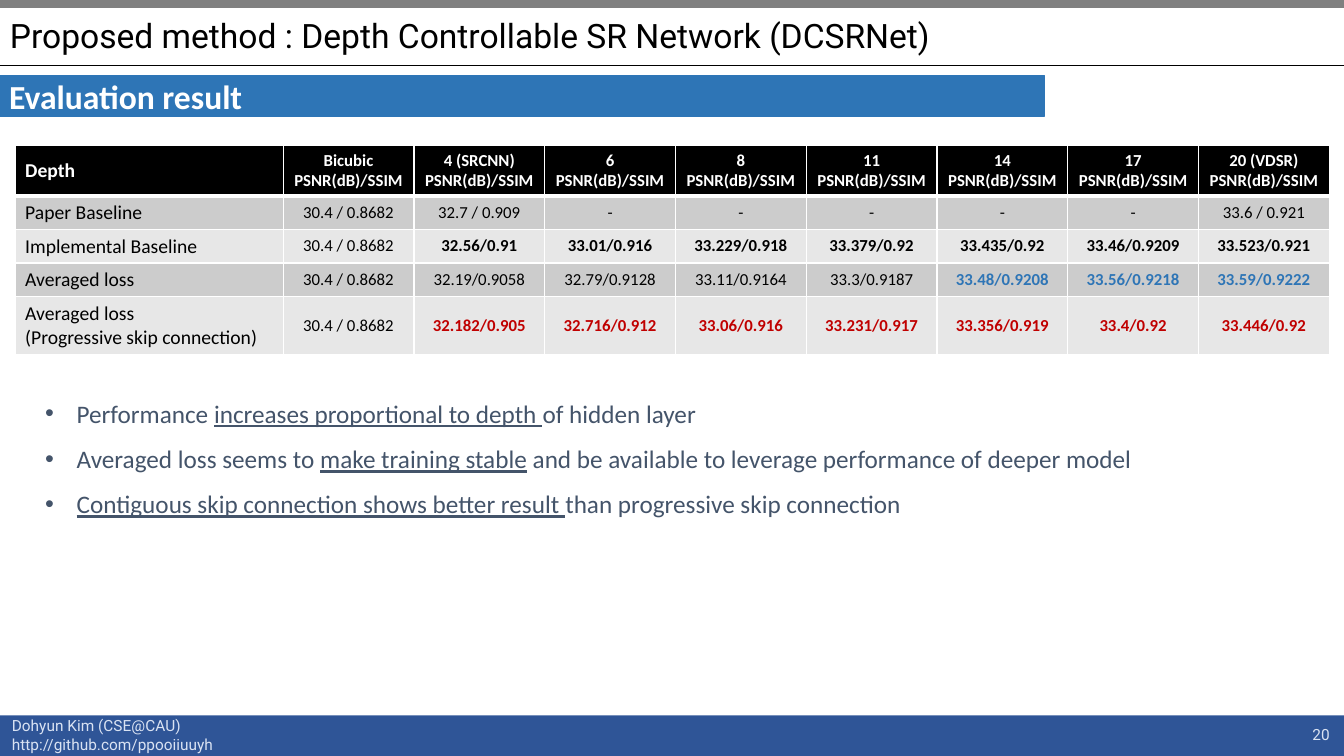
from dataclasses import dataclass

from lxml.etree import SubElement
from pptx import Presentation
from pptx.dml.color import RGBColor
from pptx.enum.shapes import MSO_CONNECTOR, MSO_SHAPE
from pptx.enum.text import MSO_ANCHOR, PP_ALIGN
from pptx.oxml import parse_xml
from pptx.oxml.ns import nsdecls, qn
from pptx.shapes.autoshape import Shape
from pptx.slide import Slide
from pptx.table import _Cell
from pptx.text.text import TextFrame, _Paragraph
from pptx.util import Pt

SLIDE_W, SLIDE_H = 960, 540
BLACK, WHITE, BLUE, RED = "000000", "FFFFFF", "2E75B6", "C00000"
LABEL_W, TABLE_W = 191.5, 938.9


@dataclass(frozen=True)
class Box:
    left: float
    top: float
    width: float
    height: float

    def lengths(self) -> tuple[Pt, Pt, Pt, Pt]:
        return Pt(self.left), Pt(self.top), Pt(self.width), Pt(self.height)


@dataclass(frozen=True)
class Style:
    size: float
    color: str
    font: str = "Calibri"
    bold: bool = False
    align: PP_ALIGN = PP_ALIGN.LEFT


@dataclass(frozen=True)
class ResultRow:
    label: str
    scores: list[str]
    height: float = 24
    plain_count: int = 8  # scores before the emphasised ones
    emphasis: str = BLACK


@dataclass(frozen=True)
class Finding:
    before: str
    underlined: str
    after: str


DEPTHS = ["Bicubic", "4 (SRCNN)", "6", "8", "11", "14", "17", "20 (VDSR)"]
BICUBIC = "30.4 / 0.8682"
RESULTS = [
    ResultRow("Paper Baseline", [BICUBIC, "32.7 / 0.909", *["-"] * 5, "33.6 / 0.921"]),
    ResultRow("Implemental Baseline",
              [BICUBIC, "32.56/0.91", "33.01/0.916", "33.229/0.918", "33.379/0.92",
               "33.435/0.92", "33.46/0.9209", "33.523/0.921"], plain_count=1),
    ResultRow("Averaged loss",
              [BICUBIC, "32.19/0.9058", "32.79/0.9128", "33.11/0.9164", "33.3/0.9187",
               "33.48/0.9208", "33.56/0.9218", "33.59/0.9222"], plain_count=5, emphasis=BLUE),
    ResultRow("Averaged loss\n(Progressive skip connection)",
              [BICUBIC, "32.182/0.905", "32.716/0.912", "33.06/0.916", "33.231/0.917",
               "33.356/0.919", "33.4/0.92", "33.446/0.92"],
              height=41, plain_count=1, emphasis=RED),
]
FINDINGS = [
    Finding("Performance ", "increases proportional to depth ", "of hidden layer"),
    Finding("Averaged loss seems to ", "make training stable",
            " and be available to leverage performance of deeper model"),
    Finding("", "Contiguous skip connection shows better result ",
            "than progressive skip connection"),
]


def rgb(color: str) -> RGBColor:
    return RGBColor.from_string(color)


def apply_style(paragraph: _Paragraph, style: Style) -> None:
    paragraph.alignment = style.align
    font = paragraph.font
    font.name, font.size, font.bold = style.font, Pt(style.size), style.bold
    font.color.rgb = rgb(style.color)


def write_lines(frame: TextFrame, text: str, style: Style) -> None:
    frame.text = text
    for paragraph in frame.paragraphs:
        apply_style(paragraph, style)


def add_bar(slide: Slide, box: Box, color: str, outlined: bool = True) -> Shape:
    bar = slide.shapes.add_shape(MSO_SHAPE.RECTANGLE, *box.lengths())
    bar.shadow.inherit = False
    bar.fill.solid()
    bar.fill.fore_color.rgb = rgb(color)
    if outlined:
        bar.line.color.rgb = rgb(color)
        bar.line.width = Pt(1)
    else:
        bar.line.fill.background()
    return bar


def add_text(slide: Slide, box: Box, text: str, style: Style,
             anchor: MSO_ANCHOR = MSO_ANCHOR.MIDDLE, wrap: bool = True) -> TextFrame:
    frame = slide.shapes.add_textbox(*box.lengths()).text_frame
    frame.word_wrap, frame.vertical_anchor = wrap, anchor
    write_lines(frame, text, style)
    return frame


def add_title_rule(slide: Slide) -> None:
    rule = slide.shapes.add_connector(MSO_CONNECTOR.STRAIGHT, 0, Pt(47), Pt(SLIDE_W), Pt(47))
    rule.line.color.rgb = rgb(BLACK)
    rule.line.width = Pt(0.5)
    SubElement(rule._element.spPr, qn("a:effectLst"))


def fill_cell(cell: _Cell, text: str, style: Style, fill: str,
              top_width: float = 1, bottom_width: float = 1) -> None:
    write_lines(cell.text_frame, text, style)
    cell.vertical_anchor = MSO_ANCHOR.MIDDLE
    widths = {"lnL": 1, "lnR": 1, "lnT": top_width, "lnB": bottom_width}
    for side, width in widths.items():
        cell._tc.get_or_add_tcPr().append(parse_xml(
            f'<a:{side} {nsdecls("a")} w="{Pt(width)}"><a:solidFill>'
            f'<a:srgbClr val="{WHITE}"/></a:solidFill></a:{side}>'))
    cell.fill.solid()
    cell.fill.fore_color.rgb = rgb(fill)


def add_results(slide: Slide) -> None:
    heights = [36] + [result.height for result in RESULTS]
    box = Box(10.8, 103.8, TABLE_W, sum(heights))
    table = slide.shapes.add_table(len(heights), len(DEPTHS) + 1, *box.lengths()).table
    table.horz_banding = False
    for row, height in zip(table.rows, heights):
        row.height = Pt(height)
    score_width = (TABLE_W - LABEL_W) / len(DEPTHS)
    for index, column in enumerate(table.columns):
        column.width = Pt(score_width if index else LABEL_W)

    fill_cell(table.cell(0, 0), "Depth", Style(14, WHITE, bold=True), BLACK, bottom_width=3)
    heading = Style(12, WHITE, bold=True, align=PP_ALIGN.CENTER)
    for column, depth in enumerate(DEPTHS, 1):
        fill_cell(table.cell(0, column), f"{depth}\nPSNR(dB)/SSIM", heading, BLACK,
                  bottom_width=3)

    for row, result in enumerate(RESULTS, 1):
        fill = "CCCCCC" if row % 2 else "E7E7E7"
        top_width = 3 if row == 1 else 1
        fill_cell(table.cell(row, 0), result.label, Style(14, BLACK), fill, top_width)
        for column, score in enumerate(result.scores, 1):
            strong = column > result.plain_count
            style = Style(12, result.emphasis if strong else BLACK,
                          bold=strong, align=PP_ALIGN.CENTER)
            fill_cell(table.cell(row, column), score, style, fill, top_width)


def add_findings(slide: Slide) -> None:
    frame = slide.shapes.add_textbox(*Box(25.2, 270, 858, 102).lengths()).text_frame
    frame.word_wrap = True
    for index, finding in enumerate(FINDINGS):
        paragraph = frame.add_paragraph() if index else frame.paragraphs[0]
        paragraph.line_spacing = 1.5
        properties = paragraph._p.get_or_add_pPr()
        properties.set("marL", str(Pt(22.5)))
        properties.set("indent", str(Pt(-22.5)))
        SubElement(properties, qn("a:buFont")).set("typeface", "Arial")
        SubElement(properties, qn("a:buChar")).set("char", "•")
        apply_style(paragraph, Style(18, "44546A"))
        for part in (finding.before, finding.underlined, finding.after):
            if part:
                run = paragraph.add_run()
                run.text = part
                run.font.underline = part == finding.underlined


def main() -> None:
    deck = Presentation()
    deck.slide_width, deck.slide_height = Pt(SLIDE_W), Pt(SLIDE_H)
    slide = deck.slides.add_slide(deck.slide_layouts[6])

    add_bar(slide, Box(0, 511, SLIDE_W, 29), "2F5597", outlined=False)
    add_bar(slide, Box(0, 0, SLIDE_W, 5), "808080")
    add_title_rule(slide)
    add_text(slide, Box(1.4, 508.3, 160, 34),
             "Dohyun Kim (CSE@CAU)\nhttp://github.com/ppooiiuuyh",
             Style(11, "DAE3F3", "Roboto"), MSO_ANCHOR.TOP, wrap=False)
    add_text(slide, Box(741, 510, 216, 29), "20",
             Style(11, "DAE3F3", "Roboto", align=PP_ALIGN.RIGHT))

    section = add_bar(slide, Box(0, 54, 746, 29), BLUE).text_frame
    section.vertical_anchor = MSO_ANCHOR.MIDDLE
    section.margin_left = section.margin_right = Pt(6.5)
    section.margin_top = section.margin_bottom = Pt(3)
    write_lines(section, "Evaluation result", Style(24, WHITE, bold=True))

    title = add_text(slide, Box(0, 6.5, 840, 41),
                     "Proposed method : Depth Controllable SR Network (DCSRNet)",
                     Style(24, BLACK, "Roboto"))
    title.paragraphs[0].line_spacing = 0.9
    add_findings(slide)
    add_results(slide)
    deck.save("out.pptx")


if __name__ == "__main__":
    main()
